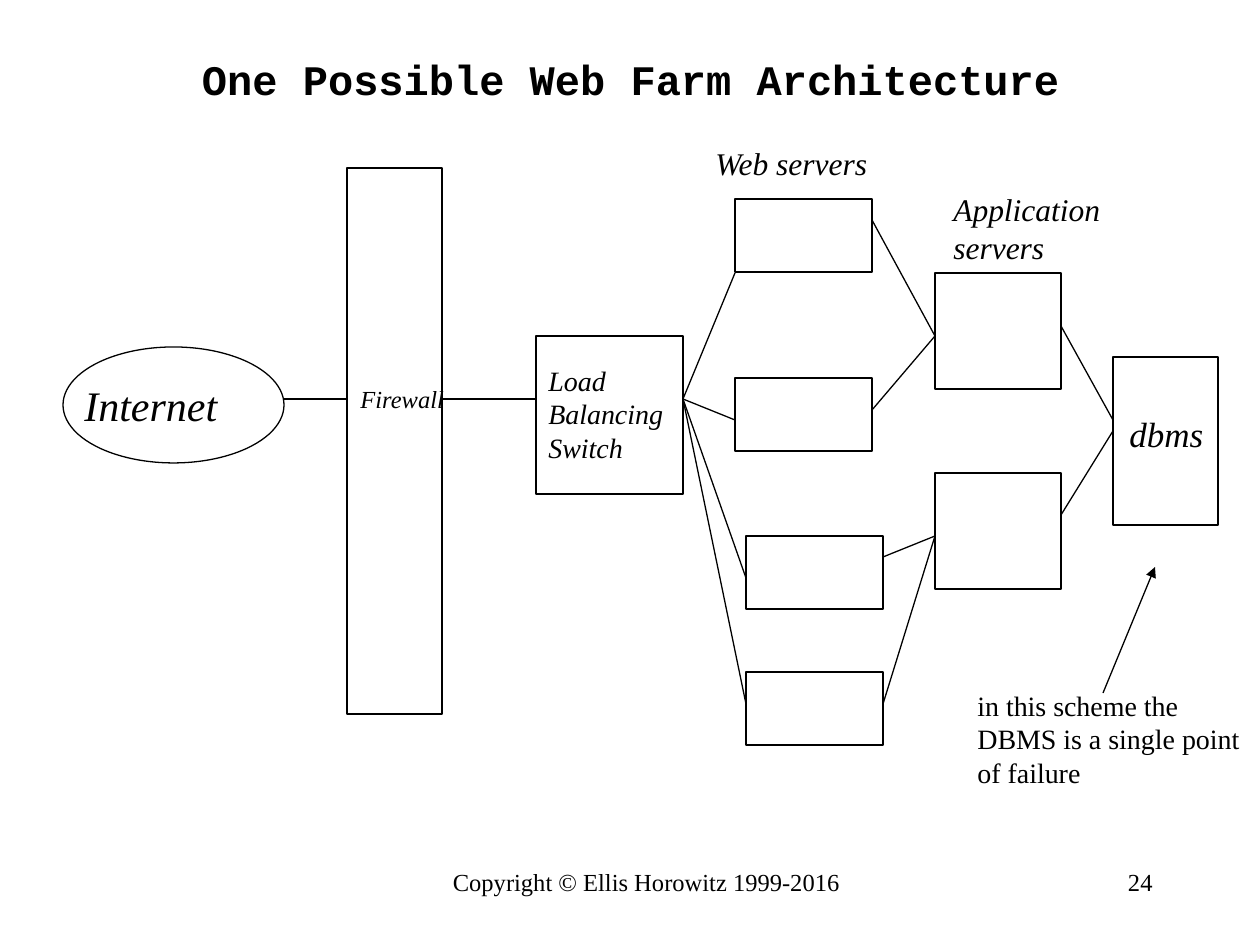
from lxml.etree import SubElement
from pptx import Presentation
from pptx.dml.color import RGBColor
from pptx.enum.shapes import MSO_CONNECTOR, MSO_SHAPE
from pptx.enum.text import MSO_ANCHOR, MSO_AUTO_SIZE, PP_ALIGN
from pptx.oxml.ns import qn
from pptx.util import Pt

PX = 914400 / 126
THEME = {
    "ink": RGBColor(0, 0, 0),
    "line": Pt(0.75),
    "body": "Times New Roman",
    "head": "Courier New",
    "title": Pt(24),
    "large": Pt(24),
    "medium": Pt(20),
    "label": Pt(18),
    "note": Pt(16),
    "small": Pt(14),
}


def emu(*lengths):
    """Turn px lengths into EMU."""
    return [round(v * PX) for v in lengths]


def add_text(text, box, size, align=PP_ALIGN.LEFT, wrap=False, face="body", **style):
    tf = s.shapes.add_textbox(*emu(*box)).text_frame
    tf.text = text
    tf.word_wrap = wrap
    tf.auto_size = MSO_AUTO_SIZE.NONE if wrap else MSO_AUTO_SIZE.SHAPE_TO_FIT_TEXT
    fmt = {"name": THEME[face], "size": THEME[size], **style}
    for p in tf.paragraphs:
        p.alignment = align
        for r in p.runs:
            r.font.color.rgb = THEME["ink"]
            for key, value in fmt.items():
                setattr(r.font, key, value)
    return tf


prs = Presentation()
prs.slide_width, prs.slide_height = emu(1260, 945)
s = prs.slides.add_slide(prs.slide_layouts[6])

# Boxes of the architecture: left, top, width, height
WEB_SIZE, APP_SIZE = (137, 73), (126, 116)
web_servers = [(735, 199), (735, 378), (746, 536), (746, 672)]
app_servers = [(935, 273), (935, 473)]
internet = (63, 347, 221, 116)
firewall = (347, 168, 95, 546)
switch = (536, 336, 147, 158)
dbms = (1113, 357, 105, 168)

rects = [firewall, switch, dbms]
rects += [pos + WEB_SIZE for pos in web_servers]
rects += [pos + APP_SIZE for pos in app_servers]
nodes = [(MSO_SHAPE.OVAL, internet)] + [(MSO_SHAPE.RECTANGLE, b) for b in rects]
for kind, box in nodes:
    sp = s.shapes.add_shape(kind, *emu(*box))
    sp.shadow.inherit = False
    sp.fill.background()
    sp.line.color.rgb = THEME["ink"]
    sp.line.width = THEME["line"]

# Links; most meet a box away from the middle of its side
hub = (683, 399)
links = [((284, 399), (347, 399)), ((442, 399), (536, 399))]
links += [(hub, end) for end in [(735, 273), (735, 420), (746, 578), (746, 704)]]
links += [(start, (935, 336)) for start in [(872, 220), (872, 410)]]
links += [(start, (935, 536)) for start in [(883, 557), (883, 704)]]
links += [((1061, 326), (1113, 420)), ((1061, 515), (1113, 431))]
failure_arrow = ((1103, 693), (1155, 567))
for start, end in links + [failure_arrow]:
    cx = s.shapes.add_connector(MSO_CONNECTOR.STRAIGHT, *emu(*start, *end))
    cx.line.color.rgb = THEME["ink"]
    cx.line.width = THEME["line"]
    if (start, end) == failure_arrow:
        SubElement(cx.line._get_or_add_ln(), qn("a:tailEnd"), type="triangle")
    SubElement(cx._element.spPr, qn("a:effectLst"))

# Labels
labels = [
    ("Internet", (72, 373, 158, 63), "large"),
    ("Firewall", (348, 378, 110, 43), "small"),
    ("Load\nBalancing\nSwitch", (536, 357, 140, 113), "note"),
    ("Web servers", (703, 138, 189, 50), "label"),
    ("Application\nservers", (941, 184, 176, 88), "label"),
    ("dbms", (1117, 406, 100, 55), "medium"),
]
for text, box, size in labels:
    add_text(text, box, size, italic=True)
add_text("in this scheme the\nDBMS is a single point\nof failure", (965, 682, 294, 113), "note")

# Title and footer
tf = add_text("One Possible Web Farm Architecture", (95, 42, 1071, 73), "title",
              PP_ALIGN.CENTER, wrap=True, face="head", bold=True)
tf.vertical_anchor = MSO_ANCHOR.MIDDLE
add_text("Copyright © Ellis Horowitz 1999-2016", (431, 861, 431, 63), "small",
         PP_ALIGN.CENTER, wrap=True)
add_text("24", (903, 861, 262, 63), "small", PP_ALIGN.RIGHT, wrap=True)

prs.save("out.pptx")
